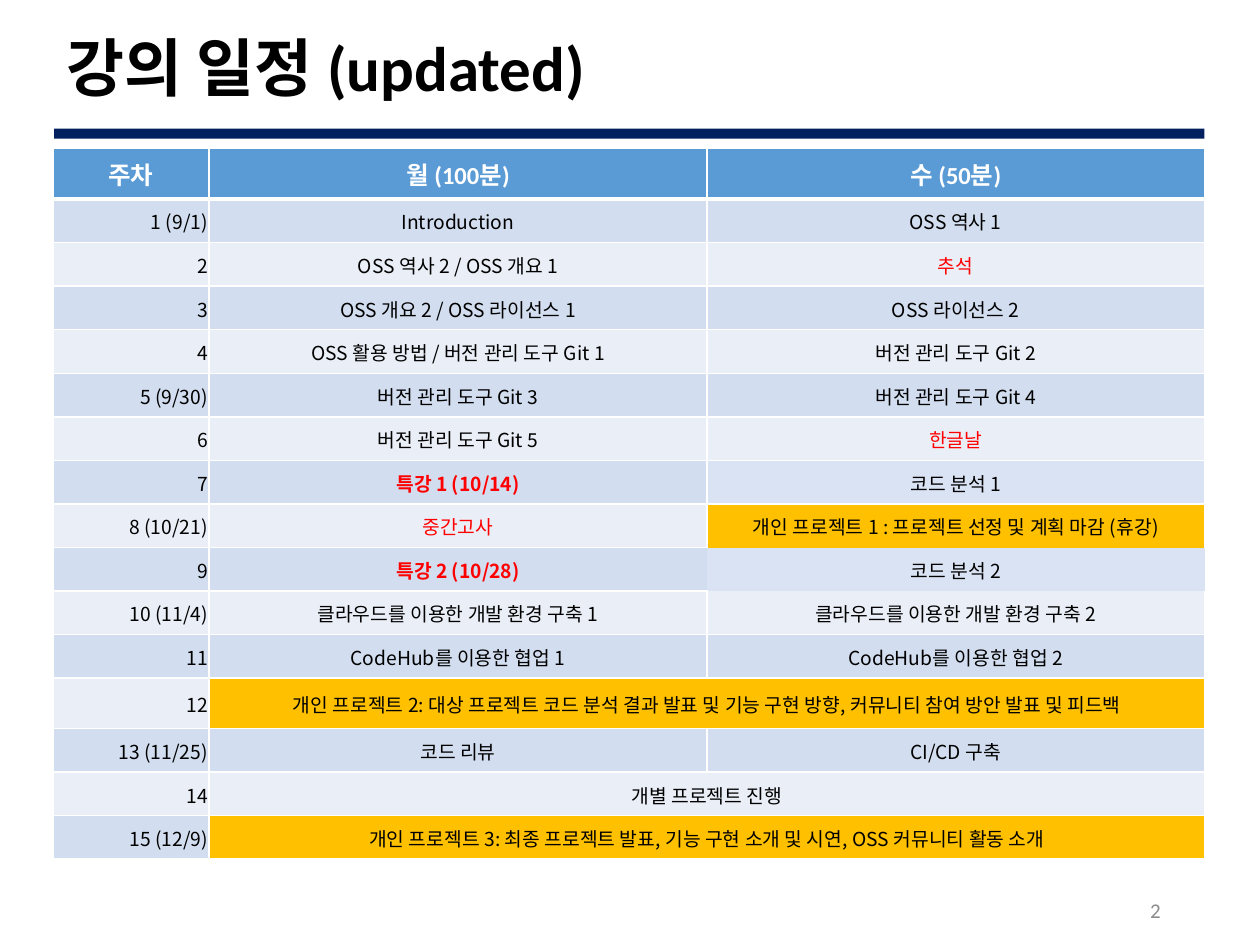
from lxml.etree import SubElement
from pptx import Presentation
from pptx.dml.color import RGBColor
from pptx.enum.shapes import MSO_SHAPE
from pptx.enum.text import MSO_ANCHOR, MSO_AUTO_SIZE, PP_ALIGN
from pptx.oxml.ns import qn
from pptx.util import Inches, Pt

LATIN, KOREAN = "Calibri", "Noto Sans CJK KR"
WHITE, BLACK, RED, GRAY = "FFFFFF", "000000", "FF0000", "8C8C8C"
NAVY, BLUE, AMBER, PALE = "002060", "5B9BD5", "FFC000", "DAE3F3"
BANDS = ("D2DEEF", "EAEFF7")

HEADER = ("주차", "월 (100분)", "수 (50분)")
# A week with one topic fills both days
WEEKS = [
    ("1 (9/1)", "Introduction", "OSS 역사 1"),
    ("2", "OSS 역사 2 / OSS 개요 1", "추석"),
    ("3", "OSS 개요 2 / OSS 라이선스 1", "OSS 라이선스 2"),
    ("4", "OSS 활용 방법 / 버전 관리 도구 Git 1", "버전 관리 도구 Git 2"),
    ("5 (9/30)", "버전 관리 도구 Git 3", "버전 관리 도구 Git 4"),
    ("6", "버전 관리 도구 Git 5", "한글날"),
    ("7", "특강 1 (10/14)", "코드 분석 1"),
    ("8 (10/21)", "중간고사", "개인 프로젝트 1 : 프로젝트 선정 및 계획 마감 (휴강)"),
    ("9", "특강 2 (10/28)", "코드 분석 2"),
    ("10 (11/4)", "클라우드를 이용한 개발 환경 구축 1", "클라우드를 이용한 개발 환경 구축 2"),
    ("11", "CodeHub를 이용한 협업 1", "CodeHub를 이용한 협업 2"),
    ("12", "개인 프로젝트 2: 대상 프로젝트 코드 분석 결과 발표 및 기능 구현 방향, "
           "커뮤니티 참여 방안 발표 및 피드백"),
    ("13 (11/25)", "코드 리뷰", "CI/CD 구축"),
    ("14", "개별 프로젝트 진행"),
    ("15 (12/9)", "개인 프로젝트 3: 최종 프로젝트 발표, 기능 구현 소개 및 시연, OSS 커뮤니티 활동 소개"),
]
HOLIDAYS = ("추석", "한글날", "중간고사")
TALL_ROWS = (0, 12)
# Cell sides without a line, around the second day of week 9
OPEN_SIDES = {(8, 2): "B", (9, 1): "R", (9, 2): "LRTB", (10, 2): "T"}


def color(value):
    return RGBColor.from_string(value)


def assign(target, values):
    for name, value in values.items():
        setattr(target, name, value)


class SlideBuilder:
    def __init__(self, slide):
        self.slide = slide

    def add_text(self, frame, text, size, ink=BLACK, bold=False,
                 align=PP_ALIGN.CENTER, font=LATIN):
        paragraph = frame.paragraphs[0]
        paragraph.alignment = align
        run = paragraph.add_run()
        run.text = text
        assign(run.font, {"size": Pt(size), "bold": bold, "name": font})
        run.font.color.rgb = color(ink)
        SubElement(run.font._element, qn("a:ea"), typeface=KOREAN)
        return paragraph

    def title(self, text, left, top, width, height):
        title = self.slide.shapes.title
        assign(title, {"left": Inches(left), "top": Inches(top),
                       "width": Inches(width), "height": Inches(height)})
        assign(title.text_frame, {"vertical_anchor": MSO_ANCHOR.MIDDLE,
                                  "auto_size": MSO_AUTO_SIZE.NONE, "word_wrap": True})
        paragraph = self.add_text(title.text_frame, text, 36, bold=True, align=PP_ALIGN.LEFT)
        paragraph.line_spacing = 0.9

    def bar(self, left, top, width, height):
        bar = self.slide.shapes.add_shape(MSO_SHAPE.RECTANGLE, Inches(left), Inches(top),
                                          Inches(width), Inches(height))
        bar.shadow.inherit = False
        bar.fill.solid()
        bar.fill.fore_color.rgb = color(NAVY)
        bar.line.fill.background()

    def page_number(self, text, left, top, width, height):
        box = self.slide.shapes.add_textbox(Inches(left), Inches(top),
                                            Inches(width), Inches(height))
        assign(box.text_frame, {"word_wrap": True, "vertical_anchor": MSO_ANCHOR.MIDDLE})
        self.add_text(box.text_frame, text, 12, GRAY, align=PP_ALIGN.RIGHT)

    def borders(self, cell, row, column):
        properties = cell._tc.get_or_add_tcPr()
        for side in "LRTB":
            heavy = (row, side) in ((0, "B"), (1, "T"))
            line = SubElement(properties, qn(f"a:ln{side}"), w=str(Pt(3 if heavy else 1)))
            if side in OPEN_SIDES.get((row, column), ""):
                SubElement(line, qn("a:noFill"))
            else:
                fill = SubElement(line, qn("a:solidFill"))
                SubElement(fill, qn("a:srgbClr"), val=WHITE)

    def cell(self, cell, row, column, text):
        self.borders(cell, row, column)
        cell.vertical_anchor = MSO_ANCHOR.MIDDLE
        cell.fill.solid()
        if row == 0:
            cell.fill.fore_color.rgb = color(BLUE)
            self.add_text(cell.text_frame, text, 14, WHITE, bold=True)
            return
        fill = BANDS[(row - 1) % 2]
        if text.startswith("개인 프로젝트"):
            fill = AMBER
        elif text.startswith("코드 분석"):
            fill = PALE
        cell.fill.fore_color.rgb = color(fill)
        assign(cell, {"margin_left": Inches(0.01), "margin_right": Inches(0.01),
                      "margin_top": Inches(0.01), "margin_bottom": 0})
        lecture = text.startswith("특강")
        self.add_text(cell.text_frame, text, 11, RED if lecture or text in HOLIDAYS else BLACK,
                      lecture, PP_ALIGN.CENTER if column else PP_ALIGN.RIGHT, KOREAN)

    def schedule(self, rows, left, top, width, height, week_width, tall):
        table = self.slide.shapes.add_table(len(rows), 3, Inches(left), Inches(top),
                                            Inches(width), Inches(height)).table
        day_width = (width - week_width) / 2
        for column, size in zip(table.columns, (week_width, day_width, day_width)):
            column.width = Inches(size)
        normal = (height - tall * len(TALL_ROWS)) / (len(rows) - len(TALL_ROWS))
        for index, texts in enumerate(rows):
            table.rows[index].height = Inches(tall if index in TALL_ROWS else normal)
            if len(texts) == 2:
                table.cell(index, 1).merge(table.cell(index, 2))
            for column, text in enumerate(texts):
                self.cell(table.cell(index, column), index, column, text)


def main():
    presentation = Presentation()
    assign(presentation, {"slide_width": Inches(10), "slide_height": Inches(7.5)})
    builder = SlideBuilder(presentation.slides.add_slide(presentation.slide_layouts[5]))

    # Heading
    builder.bar(0.43, 1.02, 9.13, 0.08)
    builder.title("강의 일정 (updated)", 0.43, 0.18, 9.13, 0.77)

    # Weekly schedule
    builder.schedule([HEADER, *WEEKS], 0.42, 1.18, 9.14, 5.64, week_width=1.24, tall=0.4)

    # Footer
    builder.page_number("2", 7.06, 7.05, 2.25, 0.35)
    presentation.save("out.pptx")


if __name__ == "__main__":
    main()
